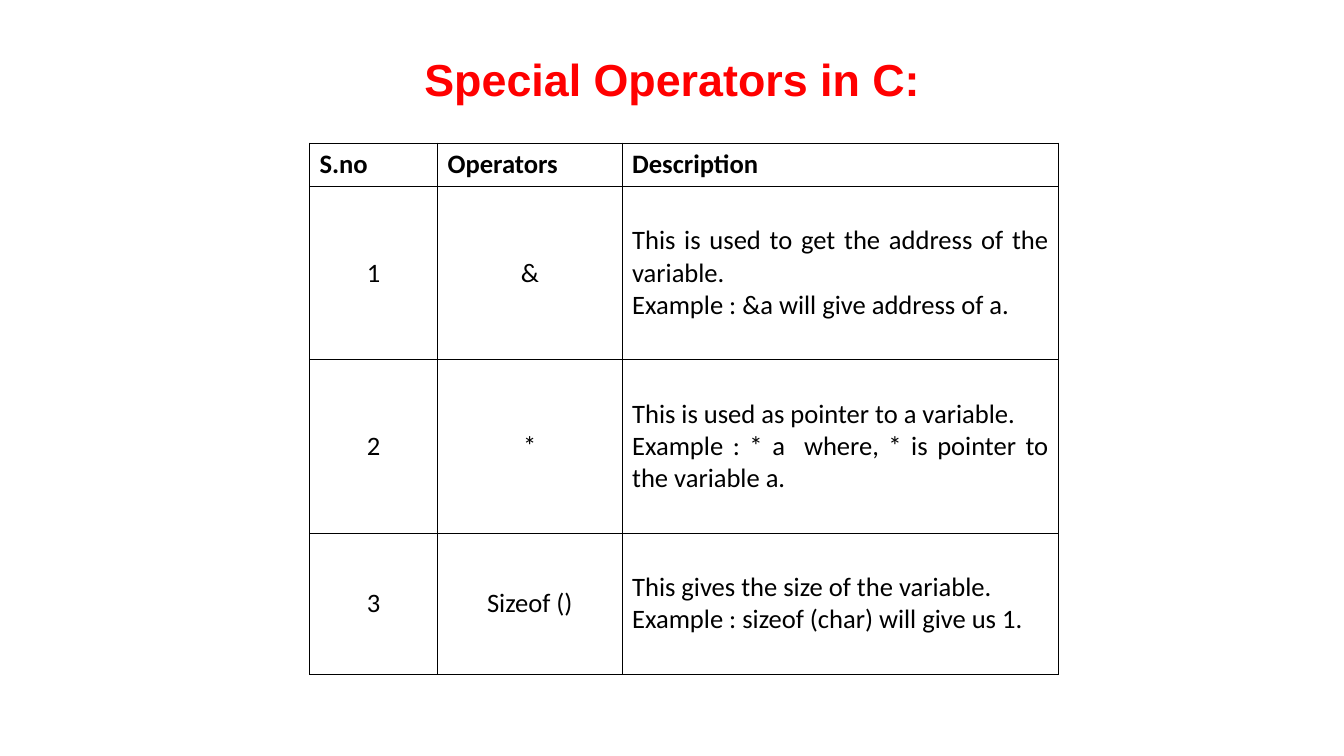
import pptx
import pptx.dml.color
import pptx.enum.text
import pptx.oxml
import pptx.oxml.ns
import pptx.util
from lxml import etree

Inches = pptx.util.Inches
Align = pptx.enum.text.PP_ALIGN
Anchor = pptx.enum.text.MSO_ANCHOR

RED = pptx.dml.color.RGBColor(0xFF, 0x00, 0x00)
BLACK = pptx.dml.color.RGBColor(0x00, 0x00, 0x00)

TITLE_FONT = {"name": "Arial", "size": pptx.util.Pt(32), "bold": True}
HEADER_FONT = {"name": "Calibri", "size": pptx.util.Pt(19), "bold": True}
BODY_FONT = {**HEADER_FONT, "bold": False}

COLUMN_WIDTHS = [1.27, 1.83, 4.33]
ROW_HEIGHTS = [0.43, 1.72, 1.72, 1.4]
HEADERS = ["S.no", "Operators", "Description"]
OPERATORS = [
    ["1", "&", "This is used to get the address of the variable.\n"
               "Example : &a will give address of a."],
    ["2", "*", "This is used as pointer to a variable.\n"
               "Example : * a  where, * is pointer to the variable a."],
    ["3", "Sizeof ()", "This gives the size of the variable.\n"
                       "Example : sizeof (char) will give us 1."],
]


def write_text(text_frame, text, font_format, color, alignment):
    text_frame.text = text
    for paragraph in text_frame.paragraphs:
        paragraph.alignment = alignment
        for run in paragraph.runs:
            for attribute, value in font_format.items():
                setattr(run.font, attribute, value)
            run.font.color.rgb = color


def draw_cell_borders(cell, color, width):
    properties = cell._tc.get_or_add_tcPr()
    # Border lines must come before the fill
    for position, side in enumerate(("lnL", "lnR", "lnT", "lnB")):
        line = etree.Element(pptx.oxml.ns.qn(f"a:{side}"), w=str(int(width)))
        fill = etree.SubElement(line, pptx.oxml.ns.qn("a:solidFill"))
        etree.SubElement(fill, pptx.oxml.ns.qn("a:srgbClr"), val=str(color))
        properties.insert(position, line)


def add_title(slide, left, top, width, height):
    title = slide.shapes.add_textbox(
        Inches(left), Inches(top), Inches(width), Inches(height))
    frame_format = {
        "word_wrap": True, "vertical_anchor": Anchor.MIDDLE,
        "margin_left": 0, "margin_right": 0, "margin_top": 0, "margin_bottom": 0,
    }
    for attribute, value in frame_format.items():
        setattr(title.text_frame, attribute, value)
    write_text(title.text_frame, "Special Operators in C:", TITLE_FONT, RED, Align.CENTER)


def add_operator_table(slide, left, top):
    rows = [HEADERS] + OPERATORS
    table = slide.shapes.add_table(
        len(rows), len(HEADERS), Inches(left), Inches(top),
        Inches(sum(COLUMN_WIDTHS)), Inches(sum(ROW_HEIGHTS))).table
    table.first_row = table.horz_banding = False
    for column, width in zip(table.columns, COLUMN_WIDTHS):
        column.width = Inches(width)
    for row, height in zip(table.rows, ROW_HEIGHTS):
        row.height = Inches(height)

    # Header is left aligned; numbers and symbols centred; descriptions justified
    body_alignments = [Align.CENTER, Align.CENTER, Align.JUSTIFY]
    for row_index, texts in enumerate(rows):
        is_header = row_index == 0
        font_format = HEADER_FONT if is_header else BODY_FONT
        for column_index, text in enumerate(texts):
            cell = table.cell(row_index, column_index)
            alignment = Align.LEFT if is_header else body_alignments[column_index]
            cell.vertical_anchor = Anchor.MIDDLE
            cell.fill.background()
            write_text(cell.text_frame, text, font_format, BLACK, alignment)
            draw_cell_borders(cell, BLACK, pptx.util.Pt(0.75))


def main():
    presentation = pptx.Presentation()
    presentation.slide_width = Inches(13.33)
    presentation.slide_height = Inches(7.5)
    slide = presentation.slides.add_slide(presentation.slide_layouts[6])
    add_title(slide, 2.17, 0.3, 9, 0.95)
    add_operator_table(slide, 3.07, 1.42)
    presentation.save("out.pptx")


if __name__ == "__main__":
    main()
